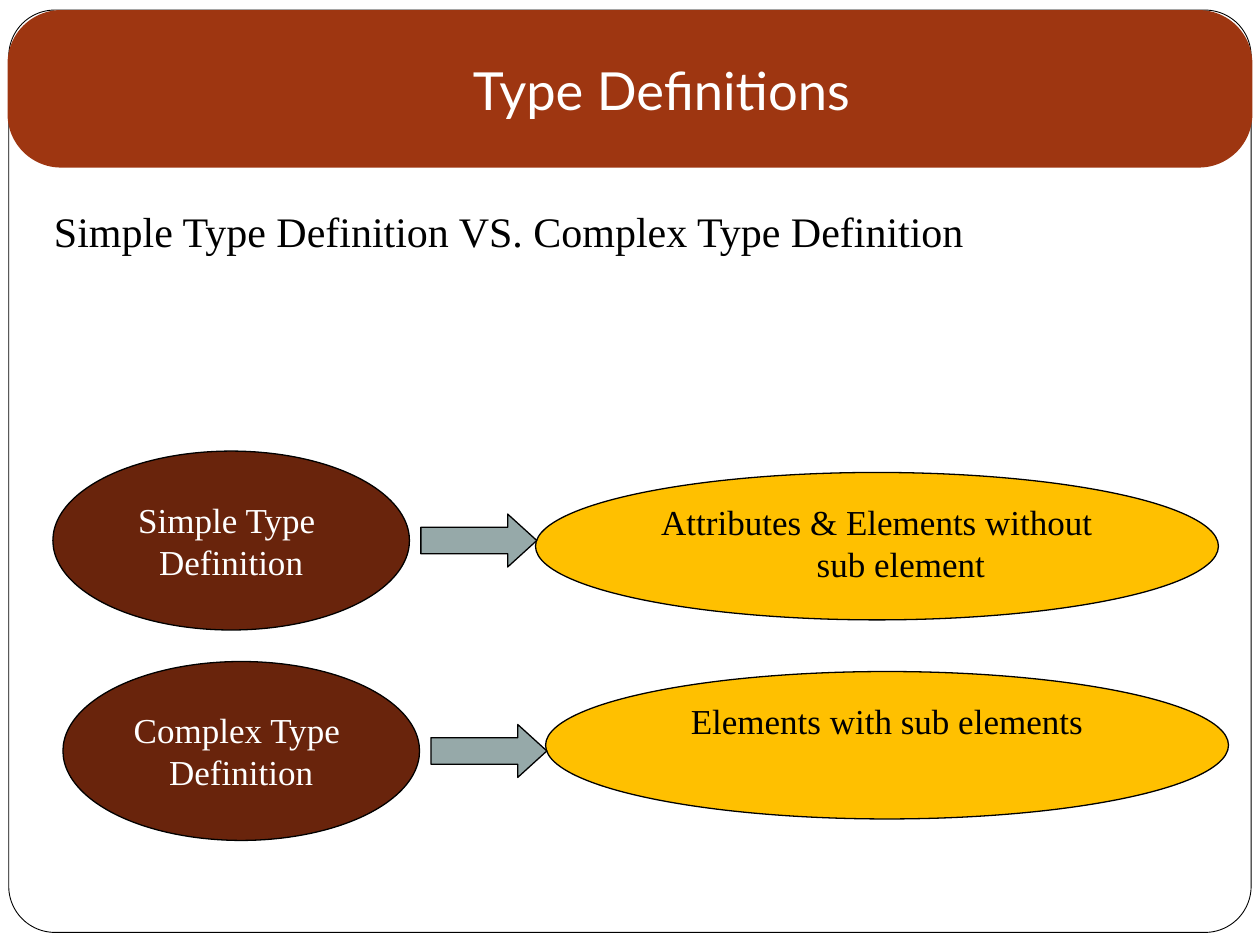
from lxml.etree import SubElement
from pptx import Presentation
from pptx.dml.color import RGBColor
from pptx.enum.shapes import MSO_SHAPE
from pptx.enum.text import MSO_ANCHOR, PP_ALIGN
from pptx.oxml.ns import qn
from pptx.util import Inches, Pt

SERIF = "Times New Roman"


def color(hex_value):
    """Turn a hex string into a colour."""
    return RGBColor.from_string(hex_value)


def add_panel(slide, kind, box, fill, line_width=None, adjustments=()):
    """Add a flat preset shape with an optional black outline."""
    panel = slide.shapes.add_shape(kind, *map(Inches, box))
    panel.shadow.inherit = False
    panel.fill.solid()
    panel.fill.fore_color.rgb = color(fill)
    if line_width:
        panel.line.color.rgb = color("000000")
        panel.line.width = Pt(line_width)
    else:
        panel.line.fill.background()
    for index, value in enumerate(adjustments):
        panel.adjustments[index] = value
    return panel


def write(frame, lines, font_name, size, hex_value, align, anchor):
    """Fill a text frame with evenly formatted paragraphs."""
    frame.word_wrap = True
    frame.vertical_anchor = anchor
    frame.text = "\n".join(lines)
    for paragraph in frame.paragraphs:
        paragraph.alignment = align
        paragraph.font.name = font_name
        paragraph.font.size = Pt(size)
        paragraph.font.color.rgb = color(hex_value)


def set_indent(paragraph, indent):
    """Give a paragraph a hanging indent and return its properties."""
    properties = paragraph._p.get_or_add_pPr()
    properties.set("marL", str(Inches(indent)))
    properties.set("indent", str(-Inches(indent)))
    return properties


def add_header(slide, left, top, width, height):
    """Draw the title band and its centred title."""
    add_panel(slide, MSO_SHAPE.ROUNDED_RECTANGLE, (left, top, width, height),
              "9E3611", adjustments=[0.34])
    title = slide.shapes.add_textbox(Inches(left + 0.94), Inches(top + 0.03),
                                     Inches(8.5), Inches(height))
    title.text_frame.margin_bottom = Inches(0.1)
    write(title.text_frame, ["Type Definitions"], "Lato", 30, "FFFFFF",
          PP_ALIGN.CENTER, MSO_ANCHOR.MIDDLE)


def add_body(slide, left, top, width, height):
    """Place the bulleted comparison statement."""
    body = slide.shapes.add_textbox(*map(Inches, (left, top, width, height)))
    frame = body.text_frame
    frame.text = "Simple Type Definition VS. Complex Type Definition"
    statement = frame.paragraphs[0]
    properties = set_indent(statement, 0.3)
    bullet_color = SubElement(properties, qn("a:buClr"))
    SubElement(bullet_color, qn("a:srgbClr")).set("val", "D34817")
    SubElement(properties, qn("a:buSzPct")).set("val", "85000")
    SubElement(properties, qn("a:buChar")).set("char", "●")
    write(frame, [statement.text], SERIF, 24, "000000",
          PP_ALIGN.LEFT, MSO_ANCHOR.TOP)


def add_definition(slide, left, top, term, meaning, meaning_drop):
    """Draw one term, its arrow and its meaning from left to right."""
    meaning_oval = add_panel(
        slide, MSO_SHAPE.OVAL,
        (left + 3.83, top + meaning_drop, 5.42, 1.17), "FFC000", 0.75)
    write(meaning_oval.text_frame, [meaning], SERIF, 20, "000000",
          PP_ALIGN.CENTER, MSO_ANCHOR.TOP)
    set_indent(meaning_oval.text_frame.paragraphs[0], 0.38)

    term_oval = add_panel(slide, MSO_SHAPE.OVAL, (left, top, 2.83, 1.42),
                          "69240C", 0.75)
    write(term_oval.text_frame, term, SERIF, 20, "FFFFFF",
          PP_ALIGN.CENTER, MSO_ANCHOR.MIDDLE)
    term_oval.text_frame.word_wrap = False

    add_panel(slide, MSO_SHAPE.RIGHT_ARROW,
              (left + 2.92, top + 0.5, 0.92, 0.42), "96A9A9", 0.75, [0.5, 0.55])


def main():
    """Build and save the slide."""
    presentation = Presentation()
    presentation.slide_width = Inches(10)
    presentation.slide_height = Inches(7.5)
    slide = presentation.slides.add_slide(presentation.slide_layouts[6])

    add_panel(slide, MSO_SHAPE.ROUNDED_RECTANGLE, (0.07, 0.08, 9.86, 7.32),
              "FFFFFF", 0.5, [0.05])
    add_header(slide, 0.06, 0.08, 9.88, 1.25)
    add_body(slide, 0.33, 1.58, 9.42, 5.06)
    add_definition(slide, 0.42, 3.58, ["Simple Type ", "Definition"],
                   "Attributes & Elements without sub element", 0.17)
    add_definition(slide, 0.5, 5.25, ["Complex Type ", "Definition"],
                   "Elements with sub elements", 0.08)
    presentation.save("out.pptx")


if __name__ == "__main__":
    main()
